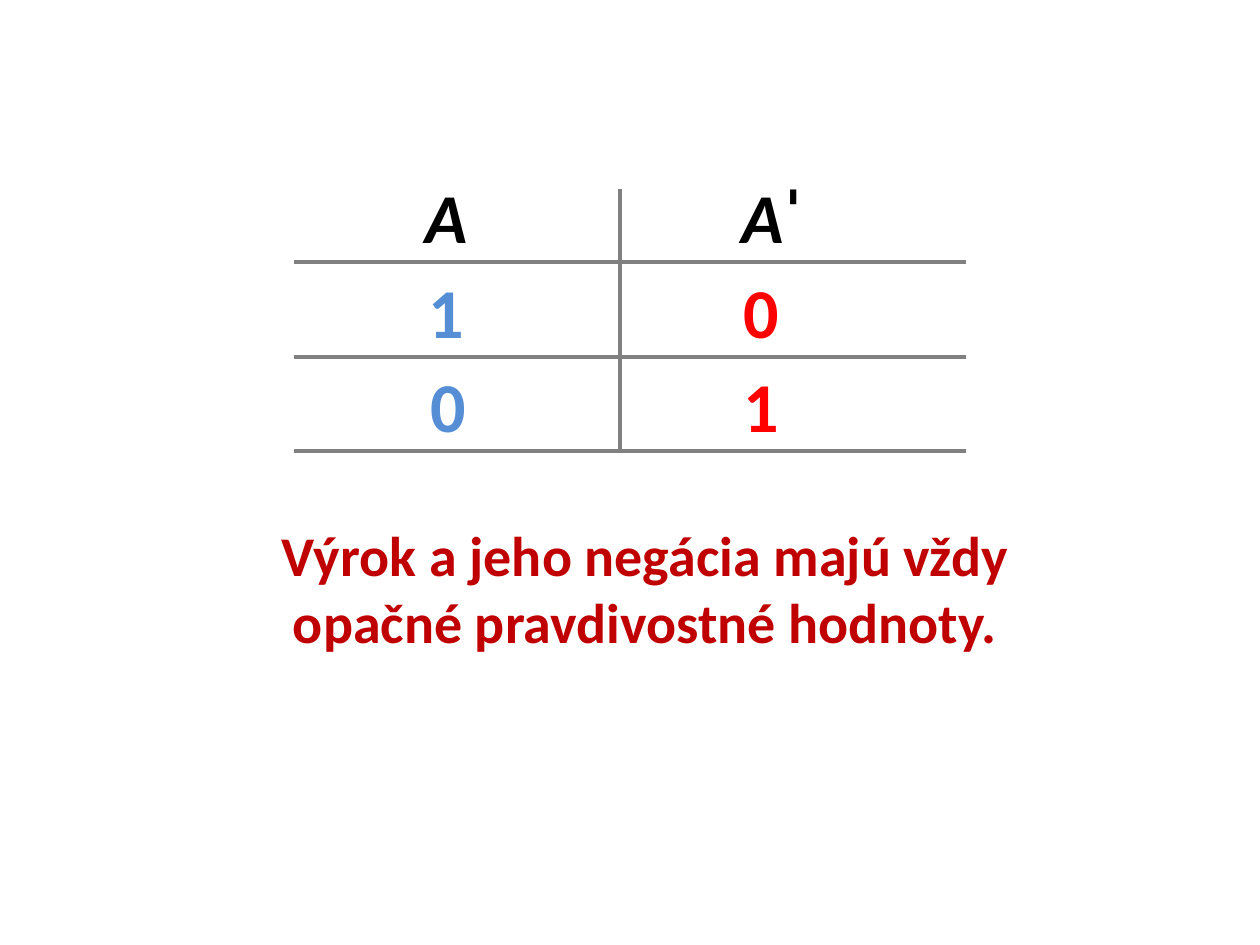
from lxml.etree import SubElement
from pptx import Presentation
from pptx.dml.color import RGBColor
from pptx.enum.shapes import MSO_CONNECTOR
from pptx.enum.text import MSO_AUTO_SIZE, PP_ALIGN
from pptx.oxml.ns import qn
from pptx.util import Inches, Pt

BLACK = RGBColor(0x00, 0x00, 0x00)
GRAY = RGBColor(0x80, 0x80, 0x80)
BLUE = RGBColor(0x55, 0x8E, 0xD5)
RED = RGBColor(0xFF, 0x00, 0x00)
DARK_RED = RGBColor(0xC0, 0x00, 0x00)

# Content: each entry is (left, runs, colour); header runs starting with A are italic
TRUTH_TABLE = [
    [(3.08, ["A"], BLACK), (5.67, ["A", "ˈ"], BLACK)],
    [(3.08, ["1"], BLUE), (5.58, ["0"], RED)],
    [(3.1, ["0"], BLUE), (5.58, ["1"], RED)],
]
CONCLUSION = "Výrok a jeho negácia majú vždy opačné pravdivostné hodnoty."

# Grid
LEFT, RIGHT, DIVIDER = 2.33, 7.67, 4.92
TOP, FIRST_RULE, ROW_H = 1.5, 2.08, 0.75
CELL_W, CELL_H = 0.92, 0.77


def add_rule(slide, x1, y1, x2, y2):
    line = slide.shapes.add_connector(
        MSO_CONNECTOR.STRAIGHT, Inches(x1), Inches(y1), Inches(x2), Inches(y2))
    line.line.color.rgb = GRAY
    line.line.width = Pt(2.25)
    SubElement(line._element.spPr, qn("a:effectLst"))


def add_text(slide, left, top, width, height, runs, size, color):
    box = slide.shapes.add_textbox(
        Inches(left), Inches(top), Inches(width), Inches(height))
    tf = box.text_frame
    tf.word_wrap = True
    tf.auto_size = MSO_AUTO_SIZE.SHAPE_TO_FIT_TEXT
    p = tf.paragraphs[0]
    p.alignment = PP_ALIGN.CENTER
    for text in runs:
        r = p.add_run()
        r.text = text
        r.font.name = "Calibri"
        r.font.size = Pt(size)
        r.font.bold = True
        r.font.italic = text == "A"
        r.font.color.rgb = color


prs = Presentation()
prs.slide_width, prs.slide_height = Inches(10), Inches(7.5)
slide = prs.slides.add_slide(prs.slide_layouts[6])

# Rules under each row and between the columns
rules = [FIRST_RULE + i * ROW_H for i in range(len(TRUTH_TABLE))]
for y in rules:
    add_rule(slide, LEFT, y, RIGHT, y)
add_rule(slide, DIVIDER, TOP, DIVIDER, rules[-1])

# Truth values
for y, row in zip(rules, TRUTH_TABLE):
    for left, runs, color in row:
        add_text(slide, left, y - ROW_H, CELL_W, CELL_H, runs, 40, color)

# Conclusion
add_text(slide, 1.58, 4.08, 7.08, 1.18, [CONCLUSION], 32, DARK_RED)

prs.save("out.pptx")
